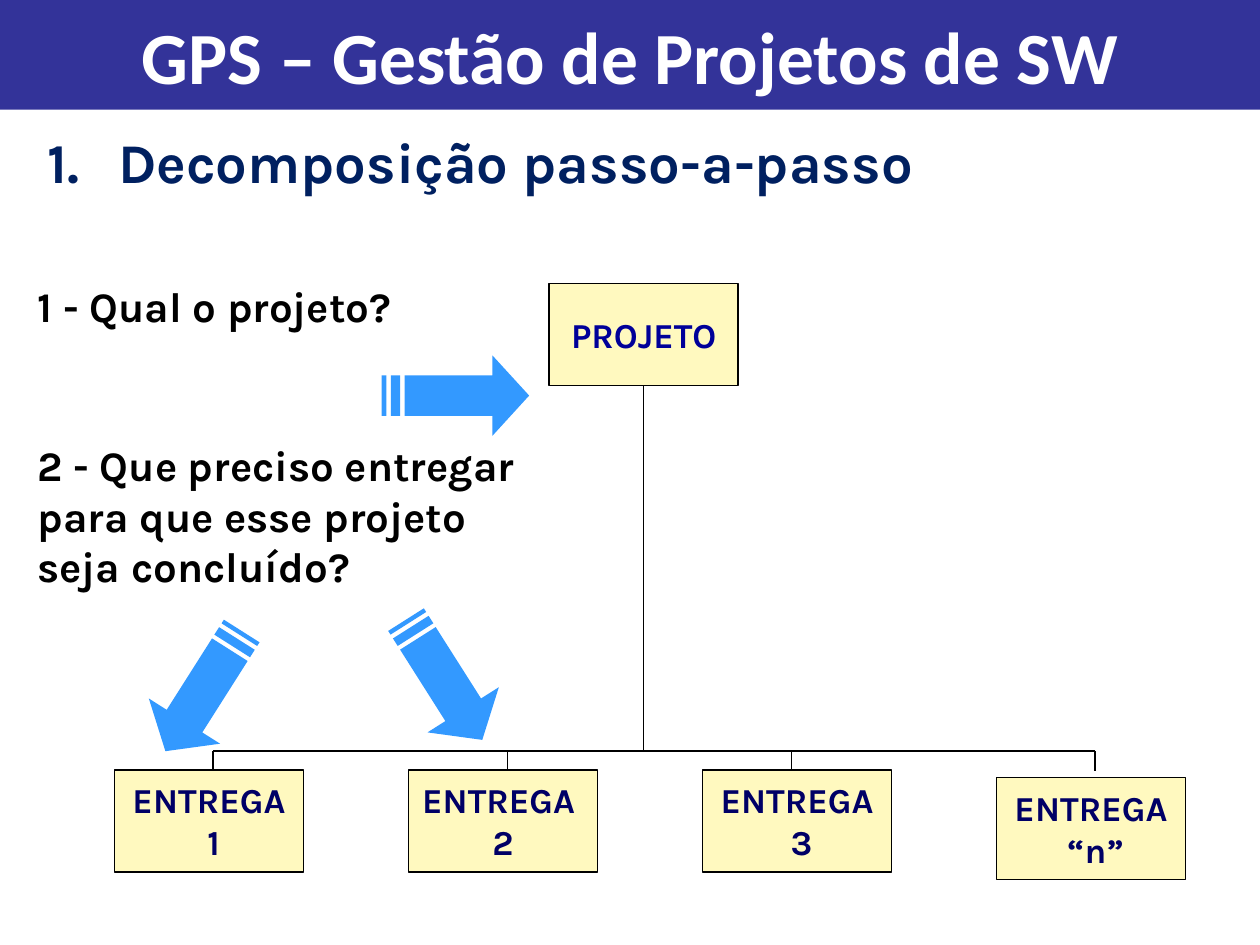
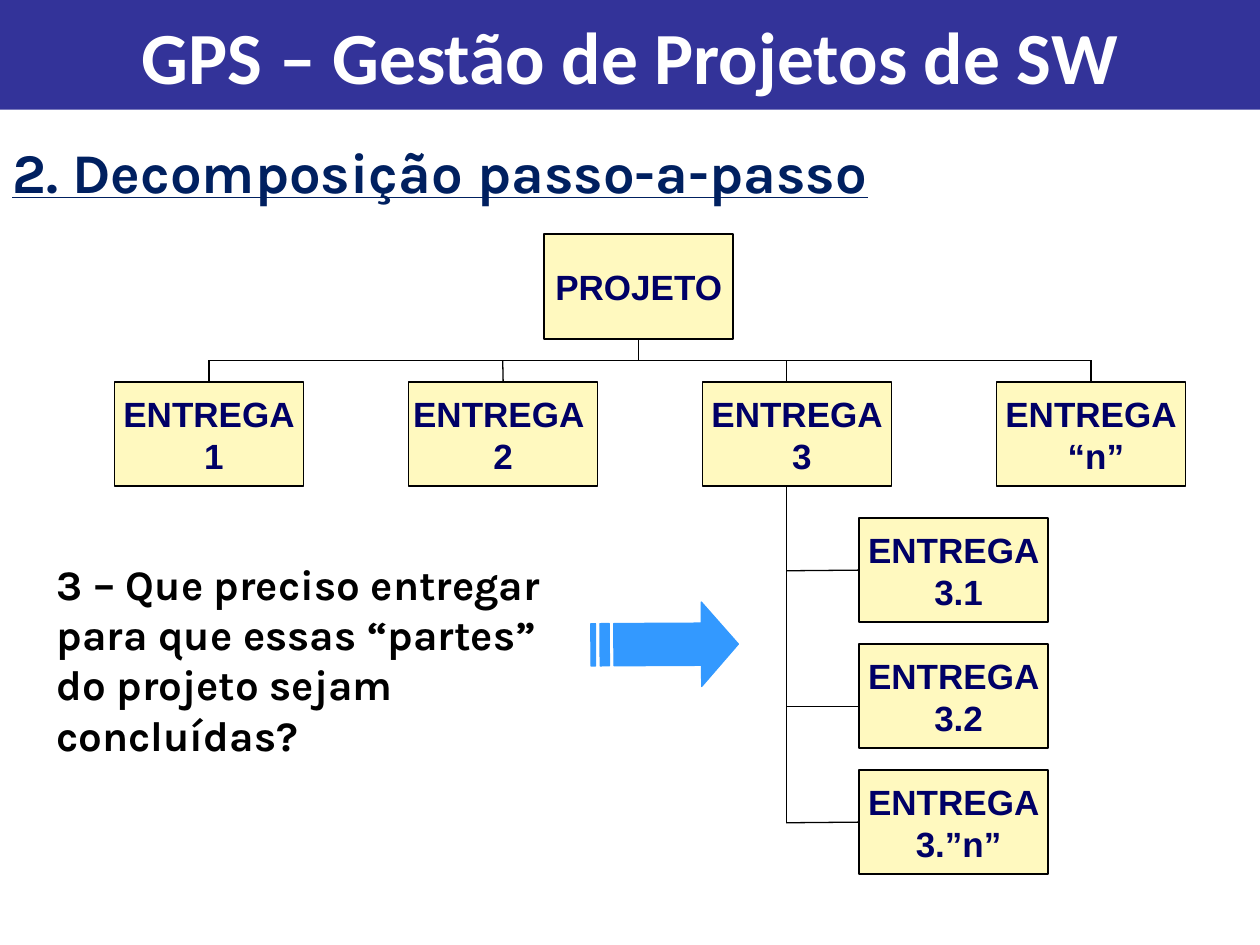
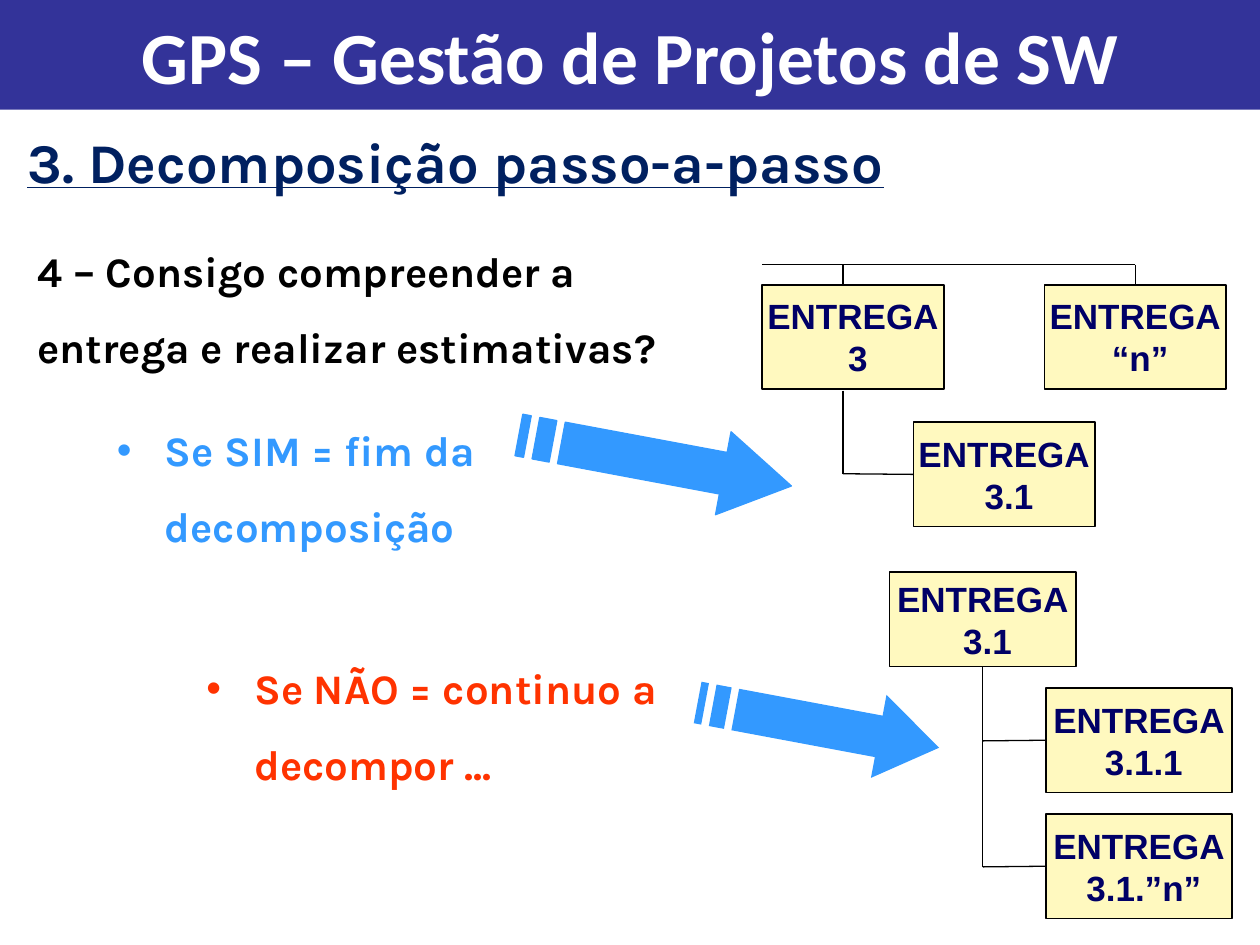
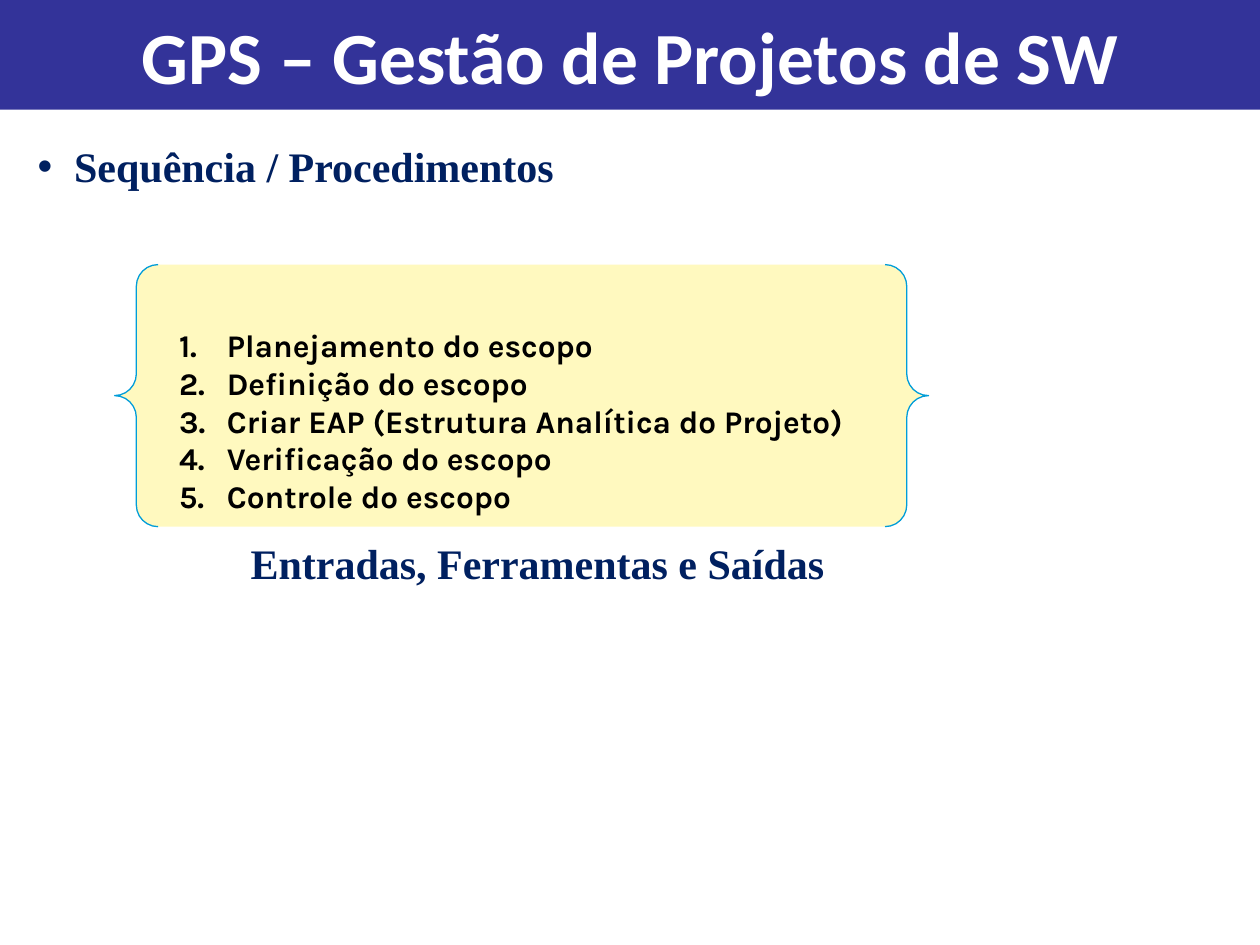
import collections

import pptx
import pptx.dml.color
import pptx.enum.shapes
import pptx.enum.text
import pptx.util
from lxml import etree
from pptx.oxml import ns

RGBColor = pptx.dml.color.RGBColor
Pt = pptx.util.Pt
SHAPES = pptx.enum.shapes.MSO_SHAPE
ALIGN = pptx.enum.text.PP_ALIGN
ANCHOR = pptx.enum.text.MSO_ANCHOR

BAND = RGBColor(0x33, 0x33, 0x99)
CREAM = RGBColor(0xFF, 0xF9, 0xBF)
SKY = RGBColor(0x33, 0x99, 0xFF)
BRACE = RGBColor(0x00, 0x9D, 0xD9)
NAVY = RGBColor(0x00, 0x20, 0x60)
BOX_INK = RGBColor(0x00, 0x00, 0x66)
PROJECT_INK = RGBColor(0x00, 0x00, 0x99)
RED = RGBColor(0xFF, 0x33, 0x00)
BLACK = RGBColor(0, 0, 0)
WHITE = RGBColor(0xFF, 0xFF, 0xFF)

COURSE = "GPS – Gestão de Projetos de SW"
STEPS = "Decomposição passo-a-passo"

# The grid has 10 columns and 7.5 rows of one inch each.
COLUMNS, ROWS = 10, 7.5
DELIVERY_LEFT, DELIVERY_PITCH = 0.91, 7 / 3
BOX_WIDTH, BOX_HEIGHT = 1.5, 0.83
DELIVERIES = ["ENTREGA\n 1", "ENTREGA \n2", "ENTREGA\n 3", "ENTREGA\n “n”"]

TOP, LEFT, BOTTOM = 0, 1, 2
Joint = collections.namedtuple("Joint", "box side")


def cells(*counts):
    """Turn grid columns or rows into lengths."""
    return [pptx.util.Inches(count) for count in counts]


def put_text(frame, text, font="Karla", size=24, color=BLACK, bold=True,
             underline=None, align=ALIGN.LEFT, anchor=ANCHOR.TOP, wrap=True,
             spacing=None, bullet=None, indent=(0, 0)):
    """Fill a frame, one paragraph a line; indent is (text margin, first line)."""
    frame.auto_size = pptx.enum.text.MSO_AUTO_SIZE.NONE
    frame.word_wrap = wrap
    frame.vertical_anchor = anchor
    for number, line in enumerate(text.split("\n")):
        paragraph = frame.add_paragraph() if number else frame.paragraphs[0]
        paragraph.alignment = align
        paragraph.line_spacing = spacing
        run = paragraph.add_run()
        run.text = line
        run.font.name = font
        run.font.size = Pt(size)
        run.font.bold = bold
        run.font.underline = underline
        run.font.color.rgb = color
        if any(indent):
            set_indent(paragraph, bullet, *cells(*indent))


def set_indent(paragraph, bullet, margin, first_line):
    properties = paragraph._p.get_or_add_pPr()
    properties.set("marL", str(margin))
    properties.set("indent", str(first_line))
    if bullet == "1.":
        etree.SubElement(properties, ns.qn("a:buAutoNum"), type="arabicPeriod")
    elif bullet:
        etree.SubElement(properties, ns.qn("a:buFont"), typeface="Arial")
        etree.SubElement(properties, ns.qn("a:buChar"), char=bullet)


def paint(shape, fill, line=None, width=1):
    shape.shadow.inherit = False
    shape.fill.solid()
    shape.fill.fore_color.rgb = fill
    if line is None:
        shape.line.fill.background()
    else:
        shape.line.color.rgb = line
        shape.line.width = Pt(width)


def new_slide(deck):
    slide = deck.slides.add_slide(deck.slide_layouts[5])
    band = slide.shapes.title
    band.left, band.top, band.width, band.height = cells(0, 0, COLUMNS, 0.87)
    band.fill.solid()
    band.fill.fore_color.rgb = BAND
    put_text(band.text_frame, COURSE, font="Calibri", size=42, color=WHITE,
             align=ALIGN.CENTER, anchor=ANCHOR.MIDDLE)
    return slide


def label(slide, place, text, **style):
    box = slide.shapes.add_textbox(*cells(*place))
    put_text(box.text_frame, text, **style)


def subtitle(slide, place, text, **style):
    label(slide, place, text, size=32, color=NAVY, anchor=ANCHOR.MIDDLE, **style)


def wbs_box(slide, left, top, text, width=BOX_WIDTH, height=BOX_HEIGHT,
            font="Arial", color=BOX_INK):
    box = slide.shapes.add_shape(SHAPES.RECTANGLE, *cells(left, top, width, height))
    paint(box, CREAM, BLACK)
    put_text(box.text_frame, text, font=font, size=20, color=color,
             align=ALIGN.CENTER, anchor=ANCHOR.MIDDLE, wrap=False)
    return box


def delivery_left(column):
    return DELIVERY_LEFT + column * DELIVERY_PITCH


def wire(slide, start, end):
    """Draw a thin line; each end is a grid point or a Joint."""
    points = [(0, 0) if isinstance(point, Joint) else point for point in (start, end)]
    line = slide.shapes.add_connector(
        pptx.enum.shapes.MSO_CONNECTOR.STRAIGHT, *cells(*points[0], *points[1]))
    if isinstance(start, Joint):
        line.begin_connect(*start)
    if isinstance(end, Joint):
        line.end_connect(*end)
    line.line.color.rgb = BLACK
    line.line.width = Pt(0.75)
    etree.SubElement(line._element.spPr, ns.qn("a:effectLst"))


def striped_arrow(slide, left, top, width, height, rotation=0, outlined=False):
    def spot(x, y):
        return tuple(cells(left + x * width, top + y * height))

    def bar(start, end):
        return [(start, 0.25), (start, 0.75), (end, 0.75), (end, 0.25)]

    head = [(0.75, 0), (0.75, 0.25), (0.156, 0.25), (0.156, 0.75),
            (0.75, 0.75), (0.75, 1), (1, 0.5)]
    outline = slide.shapes.build_freeform(*spot(*head[0]))
    outline.add_line_segments([spot(*point) for point in head[1:]])
    for stripe in (bar(0.0625, 0.125), bar(0, 0.031)):
        outline.move_to(*spot(*stripe[0]))
        outline.add_line_segments([spot(*point) for point in stripe[1:]])
    arrow = outline.convert_to_shape()
    arrow.rotation = rotation
    paint(arrow, SKY, SKY if outlined else None, 0.75)


def project_slide(deck):
    slide = new_slide(deck)
    subtitle(slide, (0.28, 0.99, 9.53, 0.58), STEPS, bullet="1.", indent=(0.56, -0.56))
    label(slide, (0.2, 2.18, 4, 0.5), "1 - Qual o projeto?")
    label(slide, (0.2, 3.44, 4, 1.3),
          "2 - Que preciso entregar para que esse projeto seja concluído?")
    striped_arrow(slide, 3.03, 2.82, 1.17, 0.64)
    style = {"height": 0.81, "font": "Karla"}
    for column, name in enumerate(DELIVERIES):
        top = 6.17 if column == 3 else 6.11
        wbs_box(slide, delivery_left(column), top, name, **style)
    project = wbs_box(slide, 4.36, 2.25, "PROJETO", color=PROJECT_INK, **style)
    rail, drops = 5.96, (1.69, 4.03, 6.28, 8.69)
    wire(slide, (drops[0], rail), (drops[-1], rail))
    for x in drops:
        wire(slide, (x, rail), (x, 6.12))
    wire(slide, Joint(project, BOTTOM), (5.11, rail))
    striped_arrow(slide, 1.05, 5.15, 1.13, 0.67, rotation=122.4)
    striped_arrow(slide, 2.96, 5.06, 1.13, 0.67, rotation=57.6)


def parts_slide(deck):
    slide = new_slide(deck)
    subtitle(slide, (0, 1.07, 9.96, 0.58), "2. " + STEPS, underline=True)
    label(slide, (0.35, 4.38, 4.08, 1.7),
          "3 – Que preciso entregar para que essas “partes” do projeto sejam concluídas?")
    striped_arrow(slide, 4.69, 4.78, 1.17, 0.67, rotation=359.7, outlined=True)

    project = wbs_box(slide, 4.32, 1.86, "PROJETO")
    deliveries = [wbs_box(slide, delivery_left(column), 3.03, name)
                  for column, name in enumerate(DELIVERIES)]
    rail, trunk = 2.86, 6.24
    drops = (1.66, 3.99, trunk, 8.66)
    wire(slide, (drops[0], rail), (drops[-1], rail))
    for x, delivery in zip(drops, deliveries):
        wire(slide, (x, rail), (x, 3.03) if x == trunk else Joint(delivery, TOP))
    wire(slide, Joint(project, BOTTOM), (5.07, rail))

    parts = [wbs_box(slide, 6.82, 4.11 + row, "ENTREGA\n 3." + mark)
             for row, mark in enumerate(("1", "2", "”n”"))]
    wire(slide, (trunk, 3.86), (trunk, 6.53))
    wire(slide, (trunk, 4.53), Joint(parts[0], LEFT))
    wire(slide, (trunk, 5.61), (6.82, 5.61))
    wire(slide, (trunk, 6.53), Joint(parts[2], LEFT))


def decision_slide(deck):
    slide = new_slide(deck)
    subtitle(slide, (0.12, 0.99, 9.76, 0.58), "3. " + STEPS, underline=True)
    label(slide, (0.2, 1.7, 5.14, 1.24),
          "4 – Consigo compreender a entrega e realizar estimativas?", spacing=1.5)
    answer = {"spacing": 1.5, "bullet": "•", "indent": (0.38, -0.38)}
    label(slide, (0.83, 3.12, 4.08, 1.24), "Se SIM = fim da decomposição",
          color=SKY, **answer)
    label(slide, (1.54, 5.01, 4.08, 1.24), "Se NÃO = continuo a decompor ...",
          color=RED, **answer)

    wbs_box(slide, 6.05, 2.26, DELIVERIES[2], width=1.44)
    last = wbs_box(slide, 8.29, 2.26, DELIVERIES[3], width=1.44)
    finished = wbs_box(slide, 7.25, 3.35, "ENTREGA\n 3.1", width=1.44)
    rail, trunk = 2.1, 6.69
    wire(slide, (6.05, rail), (9.01, rail))
    wire(slide, (trunk, rail), (trunk, 2.26))
    wire(slide, (9.01, rail), Joint(last, TOP))
    wire(slide, (trunk, 3.1), (trunk, 3.76))
    wire(slide, (trunk, 3.76), Joint(finished, LEFT))
    striped_arrow(slide, 4.1, 3.32, 2.2, 0.67, rotation=10.6, outlined=True)

    split = wbs_box(slide, 7.06, 4.54, "ENTREGA\n 3.1", width=1.48, height=0.75)
    trunk = 7.8
    wire(slide, Joint(split, BOTTOM), (trunk, 6.88))
    for row, mark in enumerate(("1", "”n”")):
        part = wbs_box(slide, 8.3, 5.46 + row, "ENTREGA\n 3.1." + mark, width=1.48)
        wire(slide, (trunk, 5.88 + row), Joint(part, LEFT))
    striped_arrow(slide, 5.52, 5.42, 1.95, 0.67, rotation=10.6)


def procedures_slide(deck):
    slide = new_slide(deck)
    heading = {"font": "Times New Roman", "color": NAVY}
    label(slide, (0, 1.07, COLUMNS, 0.5), "Sequência / Procedimentos",
          bullet="•", indent=(0.49, -0.29), **heading)
    processes = slide.shapes.add_shape(SHAPES.DOUBLE_BRACE, *cells(0.91, 2.1, 6.46, 2.08))
    processes.adjustments[0] = 0.083
    paint(processes, CREAM, BRACE, 0.75)
    processes.text_frame.margin_top, = cells(0.27)
    put_text(processes.text_frame,
             "Planejamento do escopo\nDefinição do escopo\n"
             "Criar EAP (Estrutura Analítica do Projeto)\n"
             "Verificação do escopo\nControle do escopo",
             size=18, anchor=ANCHOR.MIDDLE, bullet="1.", indent=(0.57, -0.38))
    label(slide, (1.69, 4.22, 5.28, 0.5), "Entradas, Ferramentas e Saídas",
          indent=(0.2, 0), **heading)


def main():
    deck = pptx.Presentation()
    deck.slide_width, deck.slide_height = cells(COLUMNS, ROWS)
    project_slide(deck)
    parts_slide(deck)
    decision_slide(deck)
    procedures_slide(deck)
    deck.save("out.pptx")


if __name__ == "__main__":
    main()
